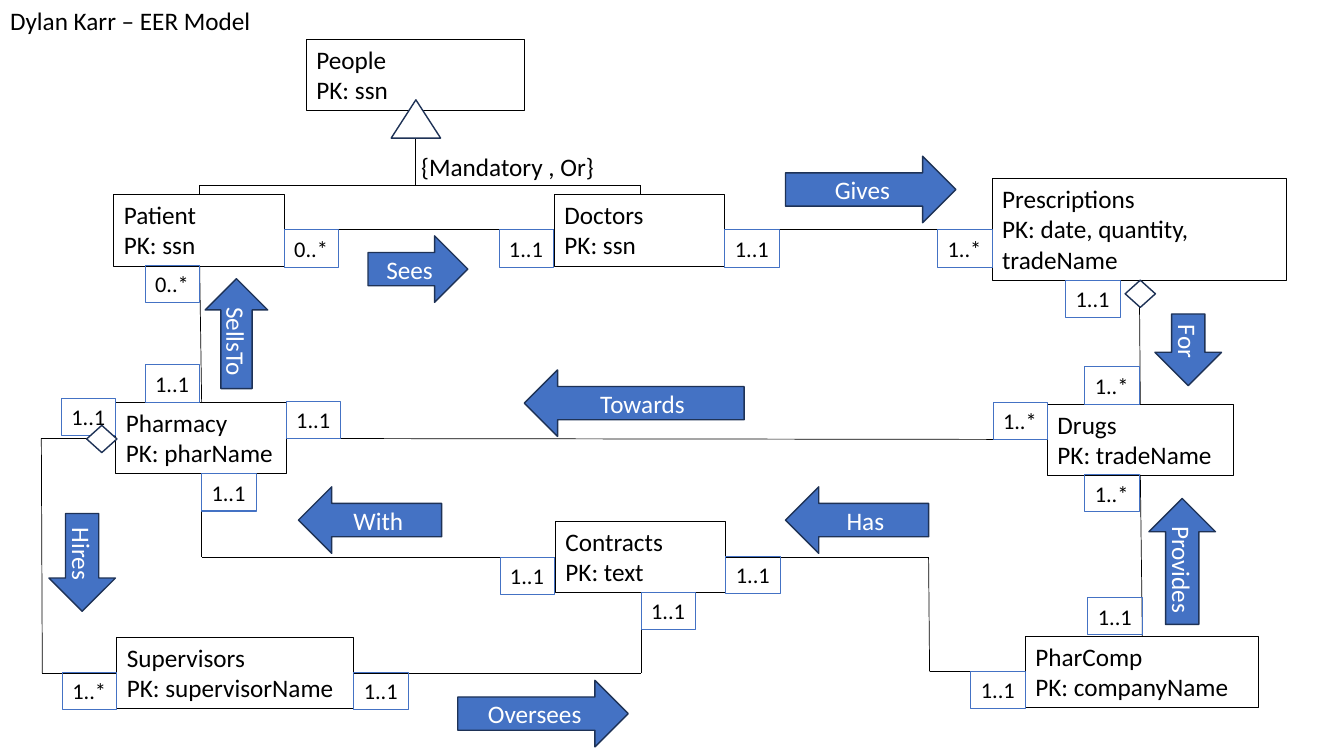
"""Build an EER model slide of a pharmacy database."""
import itertools

import pptx
import pptx.dml.color
import pptx.enum.shapes
import pptx.enum.text
import pptx.oxml.ns
import pptx.util

RGBColor = pptx.dml.color.RGBColor
SHAPE = pptx.enum.shapes.MSO_SHAPE
BLACK = RGBColor(0x00, 0x00, 0x00)
WHITE = RGBColor(0xFF, 0xFF, 0xFF)
BLUE = RGBColor(0x44, 0x72, 0xC4)
NAVY = RGBColor(0x1E, 0x32, 0x56)
FONT = "Calibri"
PX = 9144

ENTITIES = [
    (113, 193, 169, 71, "Patient", "ssn"),
    (550, 193, 169, 71, "Doctors", "ssn"),
    (984, 177, 292, 101, "Prescriptions", "date, quantity, tradeName"),
    (1017, 631, 231, 71, "PharComp", "companyName"),
    (1039, 401, 184, 71, "Drugs", "tradeName"),
    (115, 399, 169, 71, "Pharmacy", "pharName"),
    (551, 517, 169, 71, "Contracts", "text"),
    (116, 632, 235, 71, "Supervisors", "supervisorName"),
    (304, 39, 216, 71, "People", "ssn"),
]

ROUTES = [
    [(283, 228), (550, 228)],
    [(719, 228), (984, 228)],
    [(1130, 278), (1131, 401)],
    [(1131, 471), (1133, 631)],
    [(1039, 436), (284, 435)],
    [(636, 588), (636, 668), (351, 668)],
    [(115, 435), (41, 435), (42, 668), (116, 668)],
    [(198, 263), (200, 399)],
    [(200, 470), (200, 553), (551, 553)],
    [(720, 553), (921, 553), (922, 666), (1017, 666)],
    [(198, 193), (198, 184), (635, 184), (635, 193)],
    [(412, 136), (412, 184)],
]

ARROWS = [
    (SHAPE.RIGHT_ARROW, 1143, 314, 71, 66, 90, "For"),
    (SHAPE.RIGHT_ARROW, 779, 155, 169, 66, 0, "Gives"),
    (SHAPE.RIGHT_ARROW, 454, 675, 169, 66, 0, "Oversees"),
    (SHAPE.LEFT_ARROW, 520, 367, 218, 66, 0, "Towards"),
    (SHAPE.LEFT_ARROW, 296, 483, 142, 66, 0, "With"),
    (SHAPE.LEFT_ARROW, 779, 483, 142, 66, 0, "Has"),
    (SHAPE.LEFT_ARROW, 1110, 524, 125, 66, 90, "Provides"),
    (SHAPE.LEFT_ARROW, 180, 300, 109, 62, 90, "SellsTo"),
    (SHAPE.RIGHT_ARROW, 365, 234, 99, 66, 0, "Sees"),
    (SHAPE.RIGHT_ARROW, 33, 525, 97, 66, 90, "Hires"),
]

MULTIPLICITIES = {
    "0..*": [(282, 228), (144, 263)],
    "1..*": [(930, 228), (1076, 364), (62, 667), (1076, 471), (985, 399)],
    "1..1": [
        (495, 228), (719, 228), (1057, 278), (144, 362), (963, 666),
        (720, 552), (200, 470), (496, 553), (61, 395), (1079, 593),
        (351, 667), (636, 588), (284, 398),
    ],
}

SYMBOLS = [
    (SHAPE.ISOSCELES_TRIANGLE, 388, 99, 49, 38),
    (SHAPE.DIAMOND, 1116, 278, 30, 27),
    (SHAPE.DIAMOND, 86, 422, 30, 27),
]


class Diagram:
    """Draw the elements of an EER diagram on one slide."""

    def __init__(self, slide):
        self.slide = slide
        self.shapes = slide.shapes

    def box(self, x, y, w, h):
        return [v * PX for v in (x, y, w, h)]

    def set_text(self, sp, lines, size=18, color=BLACK, align=pptx.enum.text.PP_ALIGN.LEFT):
        tf = sp.text_frame
        tf.text = "\n".join(lines)
        for p in tf.paragraphs:
            p.alignment = align
            p.font.name = FONT
            p.font.size = pptx.util.Pt(size)
            p.font.color.rgb = color

    def outline(self, sp, color, width):
        sp.line.color.rgb = color
        sp.line.width = pptx.util.Pt(width)

    def title(self, x, y, w, h, text):
        sp = self.shapes.title
        sp.left, sp.top, sp.width, sp.height = self.box(x, y, w, h)
        tf = sp.text_frame
        tf.auto_size = pptx.enum.text.MSO_AUTO_SIZE.NONE
        tf.vertical_anchor = pptx.enum.text.MSO_ANCHOR.TOP
        self.set_text(sp, [text])

    def text(self, x, y, w, h, lines, size=18, wrap=True):
        sp = self.shapes.add_textbox(*self.box(x, y, w, h))
        sp.text_frame.word_wrap = wrap
        self.set_text(sp, lines, size)
        return sp

    def entity(self, x, y, w, h, name, key):
        sp = self.text(x, y, w, h, [name, f"PK: {key}"])
        sp.fill.solid()
        sp.fill.fore_color.rgb = WHITE
        self.outline(sp, BLACK, 0.75)

    def multiplicity(self, x, y, text):
        sp = self.text(x, y, 54, 37, [text], size=16, wrap=False)
        self.outline(sp, BLUE, 0.75)

    def route(self, points):
        for (x1, y1), (x2, y2) in itertools.pairwise(points):
            line = self.shapes.add_connector(
                pptx.enum.shapes.MSO_CONNECTOR.STRAIGHT, *self.box(x1, y1, x2, y2))
            self.outline(line, BLACK, 0.5)
            sp_pr = line._element.spPr
            sp_pr.append(sp_pr.makeelement(pptx.oxml.ns.qn("a:effectLst"), {}))

    def symbol(self, kind, x, y, w, h, fill=WHITE):
        sp = self.shapes.add_shape(kind, *self.box(x, y, w, h))
        sp.shadow.inherit = False
        sp.fill.solid()
        sp.fill.fore_color.rgb = fill
        self.outline(sp, NAVY, 1)
        return sp

    def arrow(self, kind, x, y, w, h, rotation, text):
        sp = self.symbol(kind, x, y, w, h, BLUE)
        sp.rotation = rotation
        sp.text_frame.vertical_anchor = pptx.enum.text.MSO_ANCHOR.MIDDLE
        self.set_text(sp, [text], color=WHITE, align=pptx.enum.text.PP_ALIGN.CENTER)


def main():
    prs = pptx.Presentation()
    prs.slide_width, prs.slide_height = 1333 * PX, 750 * PX
    s = Diagram(prs.slides.add_slide(prs.slide_layouts[5]))
    s.title(0, 0, 367, 40, "Dylan Karr – EER Model")
    for entity in ENTITIES:
        s.entity(*entity)
    for points in ROUTES:
        s.route(points)
    for arrow in ARROWS:
        s.arrow(*arrow)
    for text, places in MULTIPLICITIES.items():
        for x, y in places:
            s.multiplicity(x, y, text)
    for symbol in SYMBOLS:
        s.symbol(*symbol)
    s.text(408, 145, 216, 40, ["{Mandatory , Or}"])
    prs.save("out.pptx")


if __name__ == "__main__":
    main()
